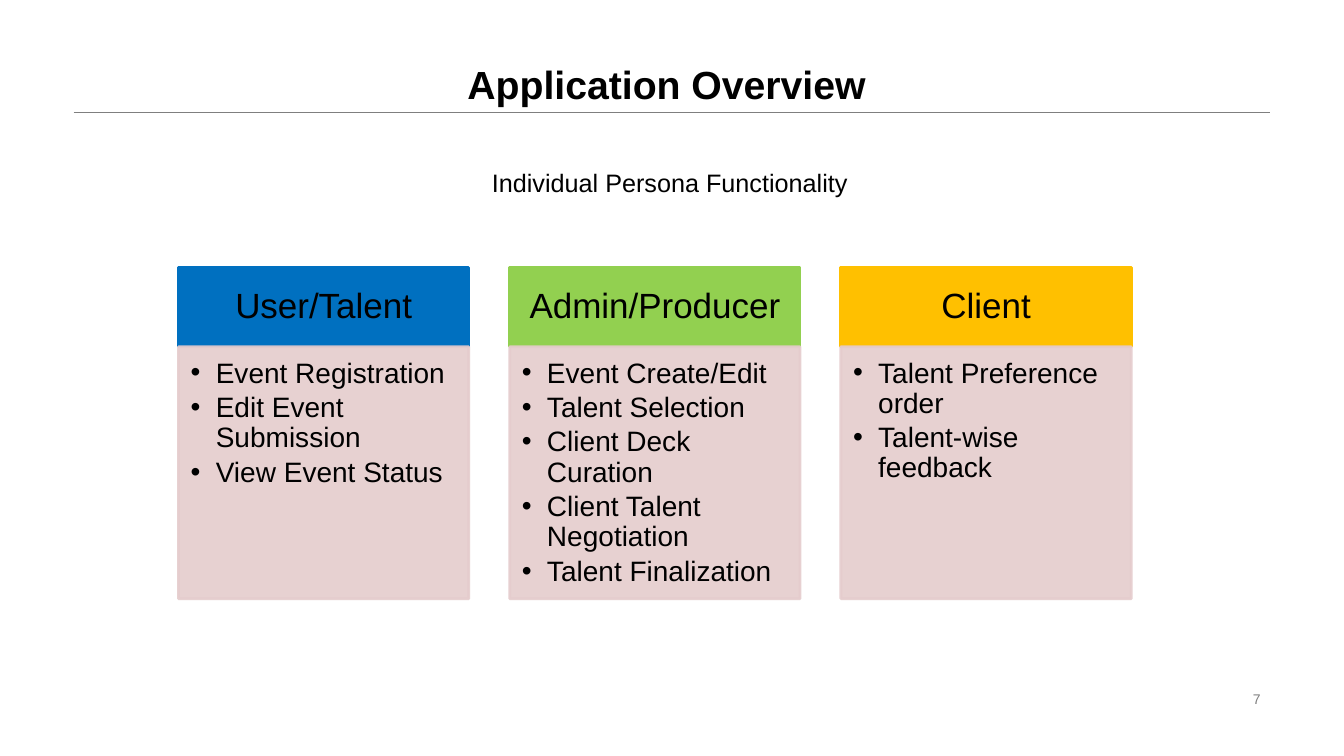
from dataclasses import dataclass

from lxml import etree
from pptx import Presentation
from pptx.dml.color import RGBColor
from pptx.enum.shapes import MSO_CONNECTOR, MSO_SHAPE
from pptx.enum.text import MSO_ANCHOR, PP_ALIGN
from pptx.oxml.ns import qn
from pptx.util import Inches, Pt

LEFT, CENTER, RIGHT = PP_ALIGN.LEFT, PP_ALIGN.CENTER, PP_ALIGN.RIGHT
TOP, MIDDLE, BOTTOM = MSO_ANCHOR.TOP, MSO_ANCHOR.MIDDLE, MSO_ANCHOR.BOTTOM
RECTANGLE = MSO_SHAPE.RECTANGLE
STRAIGHT = MSO_CONNECTOR.STRAIGHT


@dataclass(frozen=True)
class Theme:
    font: str = "Arial"
    text: str = "000000"
    muted: str = "7F7F7F"
    panel: str = "E5CCCD"
    panel_opacity: int = 90
    title_size: int = 28
    heading_size: int = 25
    bullet_size: int = 20
    subtitle_size: int = 18
    number_size: int = 10


THEME = Theme()

SLIDE_WIDTH, SLIDE_HEIGHT = 13.33, 7.5
MARGIN = 0.73
CONTENT_WIDTH = SLIDE_WIDTH - 2 * MARGIN
TITLE_HEIGHT = 1.12

CARDS_LEFT, CARDS_TOP = 1.77, 2.65
CARD_WIDTH, CARD_PITCH = 2.88, 3.285
HEADING_HEIGHT, PANEL_HEIGHT = 0.79, 2.5
BULLET_INDENT = 0.25

TEXT_INSETS = (0.1, 0.05, 0.1, 0.05)
HEADING_INSETS = (0.19, 0.11, 0.19, 0.11)
PANEL_INSETS = (0.12, 0.12, 0.16, 0.17)

PERSONAS = [
    ("User/Talent", "0070C0",
     ["Event Registration", "Edit Event Submission", "View Event Status"]),
    ("Admin/Producer", "92D050",
     ["Event Create/Edit", "Talent Selection", "Client Deck Curation",
      "Client Talent Negotiation", "Talent Finalization"]),
    ("Client", "FFC000",
     ["Talent Preference order", "Talent-wise feedback"]),
]


def set_frame(shape, anchor, insets, wrap=True):
    frame = shape.text_frame
    frame.word_wrap = wrap
    frame.vertical_anchor = anchor
    (frame.margin_left, frame.margin_top,
     frame.margin_right, frame.margin_bottom) = map(Inches, insets)
    return frame


def write(paragraph, text, size, color=THEME.text, bold=False,
          align=LEFT, line_spacing=1.0, space_after=0):
    paragraph.alignment = align
    paragraph.line_spacing = line_spacing
    paragraph.space_after = Pt(space_after)
    run = paragraph.add_run()
    run.text = text
    run.font.name = THEME.font
    run.font.size = Pt(size)
    run.font.bold = bold
    run.font.color.rgb = RGBColor.from_string(color)


def add_bullet(paragraph):
    properties = paragraph._p.get_or_add_pPr()
    properties.set("marL", str(Inches(BULLET_INDENT)))
    properties.set("indent", str(-Inches(BULLET_INDENT)))
    font = etree.SubElement(properties, qn("a:buFont"))
    font.set("typeface", THEME.font)
    etree.SubElement(properties, qn("a:buChar")).set("char", "•")


def set_opacity(shape, percent):
    """Apply one opacity to both the fill and the outline."""
    for color in shape._element.spPr.iter(qn("a:srgbClr")):
        etree.SubElement(color, qn("a:alpha")).set("val", str(percent * 1000))


def add_text(slide, box, anchor, text, size, wrap=True, **style):
    shape = slide.shapes.add_textbox(*map(Inches, box))
    frame = set_frame(shape, anchor, TEXT_INSETS, wrap)
    write(frame.paragraphs[0], text, size, **style)


def add_box(slide, box, color):
    shape = slide.shapes.add_shape(RECTANGLE, *map(Inches, box))
    shape.shadow.inherit = False
    shape.fill.solid()
    shape.fill.fore_color.rgb = RGBColor.from_string(color)
    shape.line.color.rgb = RGBColor.from_string(color)
    shape.line.width = Pt(2)
    return shape


def add_rule(slide, left, right, y):
    rule = slide.shapes.add_connector(
        STRAIGHT, Inches(left), Inches(y), Inches(right), Inches(y))
    rule.line.color.rgb = RGBColor.from_string(THEME.muted)
    rule.line.width = Pt(0.75)
    etree.SubElement(rule._element.spPr, qn("a:effectLst"))


def add_persona_card(slide, column, name, color, functions):
    left = CARDS_LEFT + column * CARD_PITCH
    heading = add_box(
        slide, (left, CARDS_TOP, CARD_WIDTH, HEADING_HEIGHT), color)
    frame = set_frame(heading, MIDDLE, HEADING_INSETS)
    write(frame.paragraphs[0], name, THEME.heading_size,
          align=CENTER, line_spacing=0.9)

    panel = add_box(
        slide, (left, CARDS_TOP + HEADING_HEIGHT, CARD_WIDTH, PANEL_HEIGHT),
        THEME.panel)
    set_opacity(panel, THEME.panel_opacity)
    frame = set_frame(panel, TOP, PANEL_INSETS)
    for index, function in enumerate(functions):
        paragraph = frame.add_paragraph() if index else frame.paragraphs[0]
        write(paragraph, function, THEME.bullet_size,
              line_spacing=0.9, space_after=3)
        add_bullet(paragraph)


def main():
    presentation = Presentation()
    presentation.slide_width = Inches(SLIDE_WIDTH)
    presentation.slide_height = Inches(SLIDE_HEIGHT)
    slide = presentation.slides.add_slide(presentation.slide_layouts[6])

    add_rule(slide, MARGIN, MARGIN + CONTENT_WIDTH, TITLE_HEIGHT)
    add_text(slide, (9.42, 6.82, 3.18, 0.23), MIDDLE, "7",
             THEME.number_size, color=THEME.muted, align=RIGHT, space_after=6)
    add_text(slide, (MARGIN, 0, CONTENT_WIDTH, TITLE_HEIGHT), BOTTOM,
             "Application Overview ", THEME.title_size,
             bold=True, align=CENTER, line_spacing=0.9)
    for column, persona in enumerate(PERSONAS):
        add_persona_card(slide, column, *persona)
    add_text(slide, (4.78, 1.61, 3.76, 0.4), TOP,
             "Individual Persona Functionality", THEME.subtitle_size,
             wrap=False)

    presentation.save("out.pptx")


if __name__ == "__main__":
    main()
